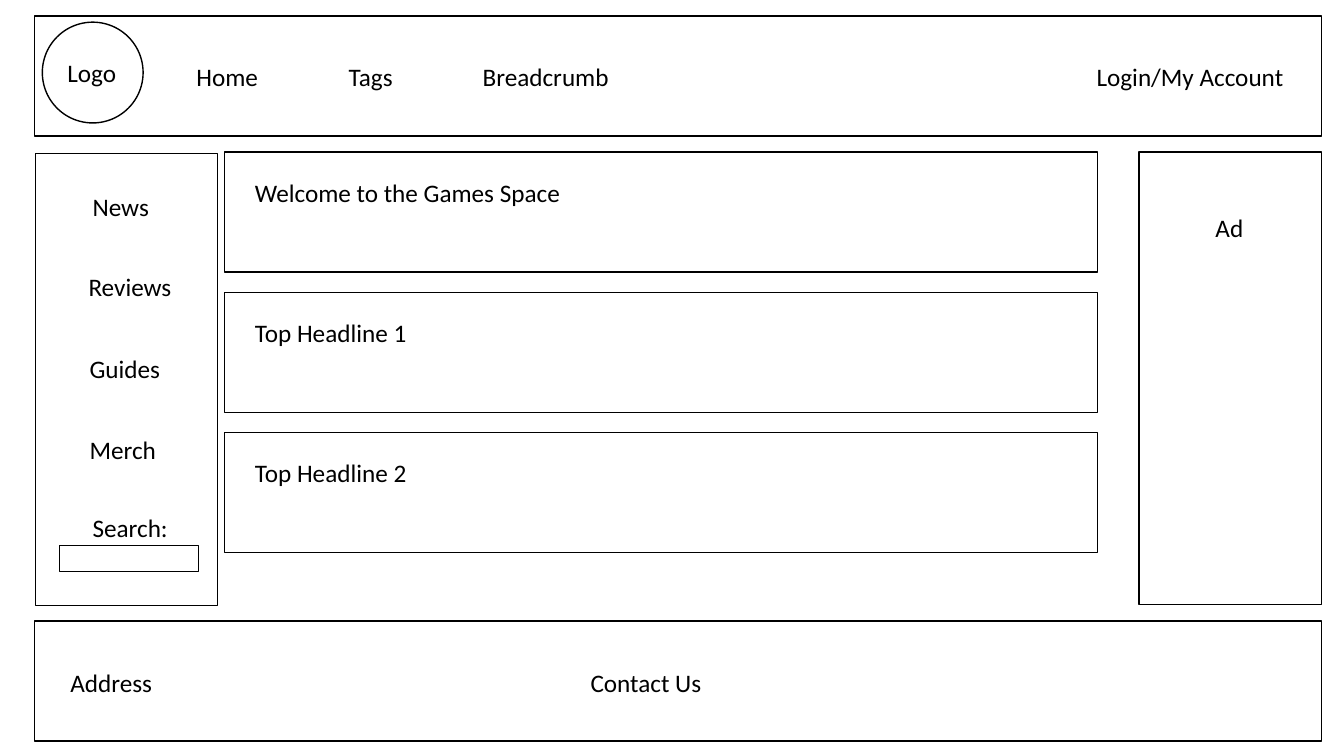
from pptx import Presentation
from pptx.dml.color import RGBColor
from pptx.enum.shapes import MSO_SHAPE as Shape
from pptx.enum.text import MSO_AUTO_SIZE as AutoSize
from pptx.util import Inches, Pt

COLORS = {"ink": "000000"}
INK = RGBColor.from_string(COLORS["ink"])
LABEL_FORMAT = {"name": "Calibri", "size": Pt(18)}

# Grid of tenth-of-an-inch cells
CELL = Inches(0.1)

wireframe = Presentation()
wireframe.slide_width, wireframe.slide_height = Inches(13.333), 75 * CELL
page = wireframe.slides.add_slide(wireframe.slide_layouts[6])


def cells(*counts):
    return [round(count * CELL) for count in counts]


def add_outline(kind, left, top, width, height):
    outline = page.shapes.add_shape(kind, *cells(left, top, width, height))
    outline.shadow.inherit = False
    outline.fill.background()
    outline.line.color.rgb = INK
    outline.line.width = Pt(1)


def add_label(wording, left, top, width, wraps=False):
    label = page.shapes.add_textbox(*cells(left, top, width, 4.04))
    frame = label.text_frame
    frame.word_wrap = wraps
    frame.auto_size = AutoSize.SHAPE_TO_FIT_TEXT
    run = frame.paragraphs[0].add_run()
    run.text = wording
    for attribute, value in LABEL_FORMAT.items():
        setattr(run.font, attribute, value)
    run.font.color.rgb = INK


# Header and footer bands
band_left, band_width, band_height = 3.4, 127.7, 11.9
for band_top in (1.6, 61.6):
    add_outline(Shape.RECTANGLE, band_left, band_top, band_width, band_height)

# Side columns: navigation and advertisement
column_width, column_height = 18.1, 44.9
for column_left, column_top in ((3.5, 15.2), (113, 15.1)):
    add_outline(Shape.RECTANGLE, column_left, column_top, column_width, column_height)
add_label("Ad", 119.6, 20.6, 4.8)

# Header: logo circle and menu
add_outline(Shape.OVAL, 4.2, 2.2, 10, 10)
add_label("Logo", 5.7, 5.2, 6.9)
for item, left, width in (
    ("Home", 18.5, 8.2),
    ("Tags", 33.6, 6.4),
    ("Breadcrumb", 46.9, 14.7),
    ("Login/My Account", 107.8, 20.8),
):
    add_label(item, left, 5.55, width)

# Main column: stacked story panels
panel_left, first_panel_top, panel_pitch, inset = 22.3, 15.1, 13.9, 2
headlines = ("Welcome to the Games Space", "Top Headline 1", "Top Headline 2")
for row, headline in enumerate(headlines):
    panel_top = first_panel_top + row * panel_pitch
    add_outline(Shape.RECTANGLE, panel_left, panel_top, 86.6, band_height)
    add_label(headline, panel_left + inset, panel_top + inset, 47.8, wraps=True)

# Navigation column
for item, left, top, width, wraps in (
    ("News", 8.2, 18.5, 7.7, False),
    ("Reviews", 7.8, 26.4, 16.5, True),
    ("Guides", 7.9, 34.6, 9.1, False),
    ("Merch", 7.9, 42.6, 16.5, True),
    ("Search:", 8.2, 50.3, 9.6, False),
):
    add_label(item, left, top, width, wraps)
add_outline(Shape.RECTANGLE, 5.9, 54.1, 13.8, 2.6)

# Footer
for item, left, width in (("Address", 6, 10.2), ("Contact Us", 57.6, 13.1)):
    add_label(item, left, 65.7, width)

wireframe.save("out.pptx")
